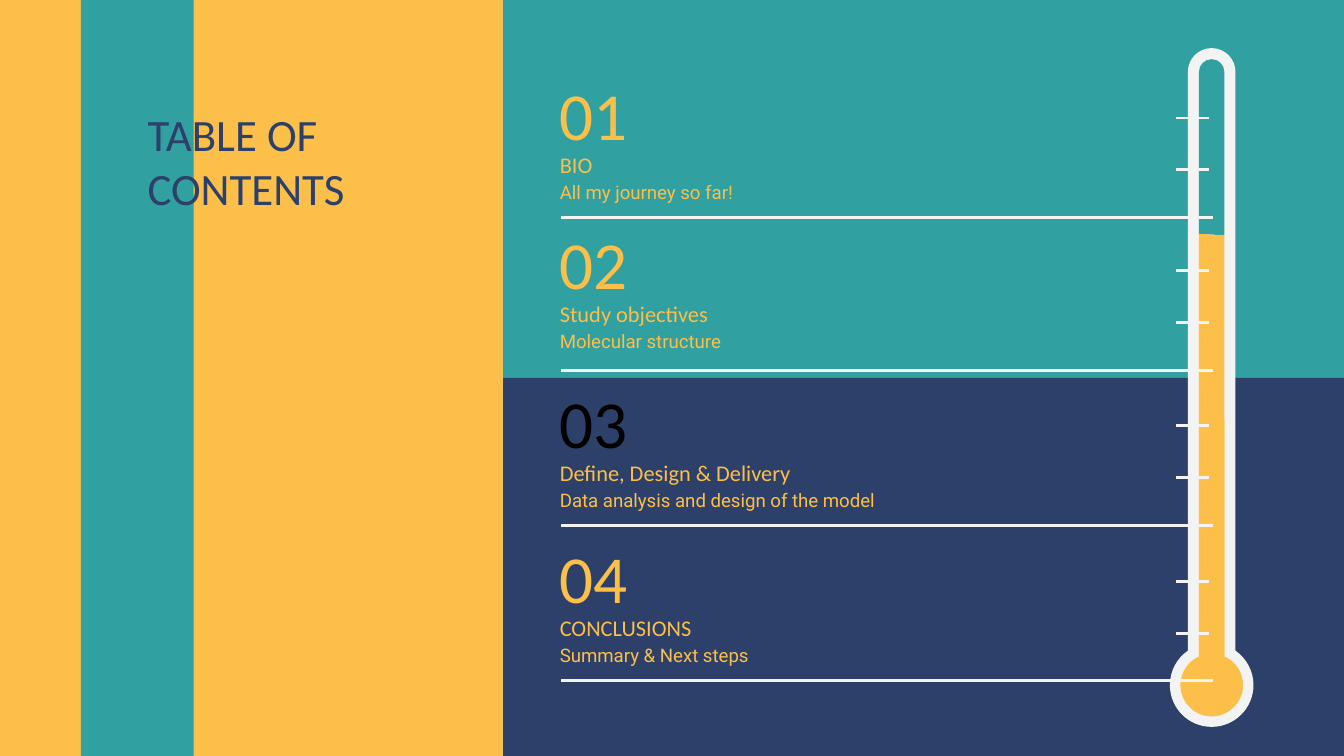
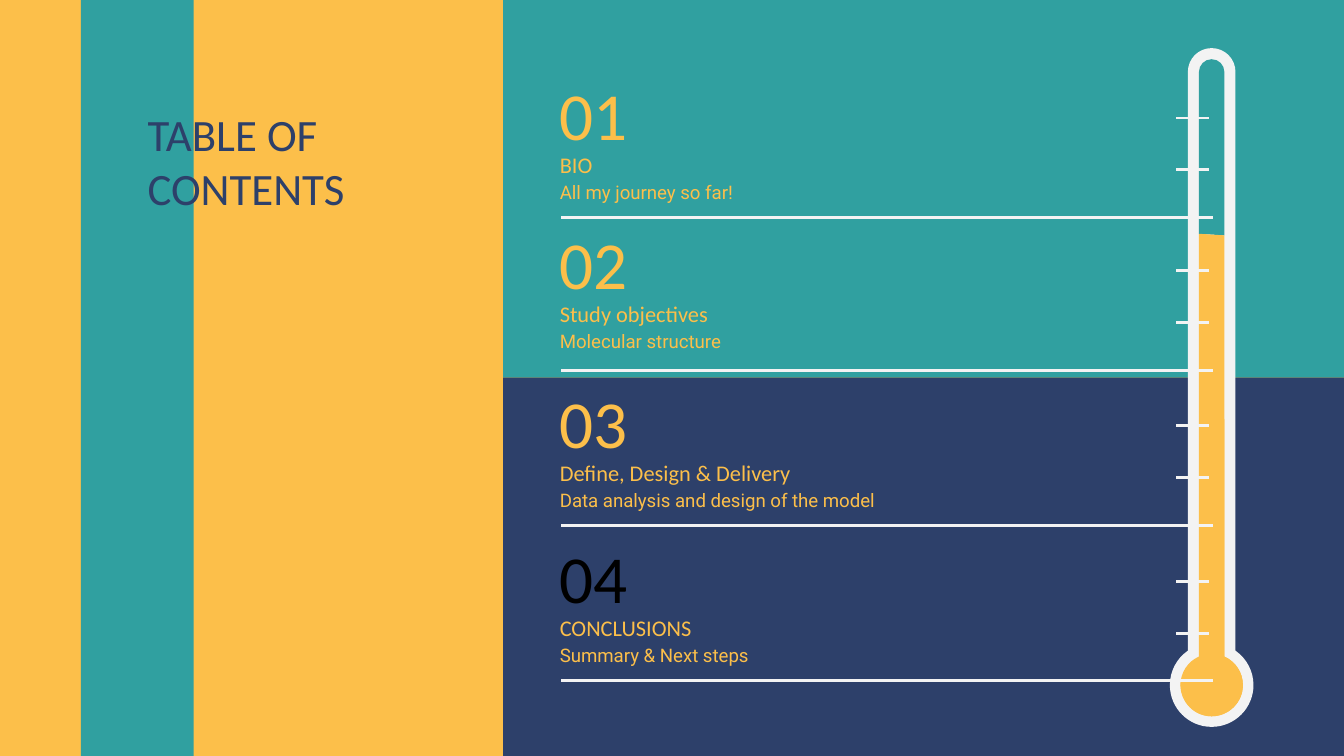
from dataclasses import dataclass
from itertools import pairwise
from math import acos, cos, degrees, radians, sin, tan

from lxml import etree
from pptx import Presentation
from pptx import util as u
from pptx.dml.color import RGBColor
from pptx.enum import shapes, text
from pptx.oxml import ns


@dataclass(frozen=True)
class Theme:
    amber: RGBColor = RGBColor.from_string("FCBF4A")
    teal: RGBColor = RGBColor.from_string("30A0A0")
    navy: RGBColor = RGBColor.from_string("2D406A")
    white: RGBColor = RGBColor.from_string("F3F3F3")
    black: RGBColor = RGBColor.from_string("000000")
    head: str = "Calibri"
    body: str = "Roboto"
    title: int = 24
    number: int = 36
    name: int = 12
    note: int = 10
    line: float = 1.5


@dataclass(frozen=True)
class Box:
    left: float
    top: float
    width: float
    height: float


@dataclass(frozen=True)
class Style:
    font: str
    size: int
    color: RGBColor
    anchor: text.MSO_ANCHOR


@dataclass(frozen=True)
class Band:
    box: Box
    color: RGBColor


@dataclass(frozen=True)
class Entry:
    name: str
    note: str
    top: float
    rule: float
    height: float


Point = tuple[float, float]
Steps = list[tuple[Point, ...]]

THEME = Theme()
WIDTH, HEIGHT = 25.4, 14.29
SPLIT, HALF = 9.51, 7.14
BANDS = (
    Band(Box(SPLIT, 0, WIDTH - SPLIT, HALF), THEME.teal),
    Band(Box(SPLIT, HALF, WIDTH - SPLIT, HEIGHT - HALF), THEME.navy),
    Band(Box(1.53, 0, 2.13, HEIGHT), THEME.teal),
)
ENTRIES = (
    Entry("BIO", "All my journey so far!", 1.34, 4.11, 0.81),
    Entry("Study objectives", "Molecular structure", 4.17, 7, 0.89),
    Entry("Define, Design & Delivery", "Data analysis and design of the model",
          7.17, 9.93, 0.89),
    Entry("CONCLUSIONS", "Summary & Next steps", 10.1, 12.87, 0.97),
)
ACTIVE = (3, 4)
LEFT = 10.33
AXIS, DOME, BULB = 22.9, 1.36, 12.95
OUTER, INNER = (0.45, 0.79), (0.24, 0.59)
LOW, HIGH = (AXIS + INNER[0], 4.45), (AXIS - INNER[0], 4.42)
SHEEN: Steps = [
    ((AXIS + INNER[0], 7.92),),
    ((22.96, 9.42), (22.99, 10.95), (22.76, 12.52)),
    ((22.71, 12.65), (22.58, 12.93), (22.4, 12.93)),
    ((22.38, 12.93), (22.35, 12.93), (22.31, 12.9)),
]


def place(shape, box: Box) -> None:
    shape.left, shape.top = u.Cm(box.left), u.Cm(box.top)
    shape.width, shape.height = u.Cm(box.width), u.Cm(box.height)


def write(shape, words: str, style: Style, box: Box) -> None:
    place(shape, box)
    frame = shape.text_frame
    frame.auto_size = text.MSO_AUTO_SIZE.NONE
    frame.word_wrap = True
    frame.vertical_anchor = style.anchor
    for side in ("left", "top", "right", "bottom"):
        setattr(frame, f"margin_{side}", u.Cm(0.25))
    frame.text = words
    para = frame.paragraphs[0]
    props = para._p.get_or_add_pPr()
    props.set("marL", "0")
    props.set("indent", "0")
    etree.SubElement(props, ns.qn("a:buNone"))
    para.alignment = text.PP_ALIGN.LEFT
    para.space_before = u.Pt(0)
    para.font.name = style.font
    para.font.size = u.Pt(style.size)
    para.font.bold = False
    para.font.color.rgb = style.color


def label(slide, words: str, style: Style, box: Box) -> None:
    write(slide.shapes.add_textbox(0, 0, 0, 0), words, style, box)


def paint(shape, color: RGBColor) -> None:
    shape.shadow.inherit = False
    shape.fill.solid()
    shape.fill.fore_color.rgb = color
    shape.line.fill.background()


def dress(layout, slide) -> None:
    layout.background.fill.solid()
    layout.background.fill.fore_color.rgb = THEME.amber
    for order, band in enumerate(BANDS):
        shape = slide.shapes.add_shape(shapes.MSO_SHAPE.RECTANGLE, 0, 0, 0, 0)
        place(shape, band.box)
        paint(shape, band.color)
        shape.element.nvSpPr.cNvPr.set("id", str(20 + order))
        layout.shapes.element.insert(2 + order, shape.element)


def arc(y: float, radius: float, *stops: float) -> Steps:
    steps: Steps = []
    for start, end in pairwise(map(radians, stops)):
        pull = 4 / 3 * tan((end - start) / 4)
        steps.append(tuple(
            (AXIS + radius * (cos(t) - k * sin(t)), y + radius * (sin(t) + k * cos(t)))
            for t, k in ((start, pull), (end, -pull), (end, 0))))
    return steps


def dome(half: float) -> Steps:
    return [((AXIS - half, DOME),)] + arc(DOME, half, 180, 270, 360)


def bulb(half: float, radius: float) -> Steps:
    neck = degrees(acos(half / radius))
    fall = BULB - radius * sin(radians(neck))
    return [((AXIS + half, fall),)] + arc(BULB, radius, -neck, 0, 90, 180, 180 + neck)


def trace(group, steps: Steps, color: RGBColor) -> None:
    first, *rest = [(u.Cm(x), u.Cm(y)) for x, y in (step[-1] for step in steps)]
    pen = group.shapes.build_freeform(*first)
    pen.add_line_segments(rest, close=True)
    shape = pen.convert_to_shape()
    paint(shape, color)
    lines = list(shape.element.iter(ns.qn("a:lnTo")))
    for line, step in zip(lines, steps[1:]):
        if len(step) == 3:
            curve = etree.Element(ns.qn("a:cubicBezTo"))
            for x, y in step:
                etree.SubElement(curve, ns.qn("a:pt"), x=str(u.Cm(x) - shape.left),
                                 y=str(u.Cm(y) - shape.top))
            line.getparent().replace(line, curve)


def rule(group, start: float, end: float, y: float) -> None:
    line = group.shapes.add_connector(
        shapes.MSO_CONNECTOR.STRAIGHT, u.Cm(start), u.Cm(y), u.Cm(end), u.Cm(y))
    line.line.color.rgb = THEME.white
    line.line.width = u.Pt(THEME.line)
    etree.SubElement(line.element.spPr, ns.qn("a:effectLst"))


def gauge(slide) -> None:
    group = slide.shapes.add_group_shape()
    half, radius = INNER
    neck = degrees(acos(half / radius))
    dip: Point = (AXIS, 4.45)
    trace(group, dome(OUTER[0]) + bulb(*OUTER), THEME.white)
    trace(group, dome(half) + [(LOW,), (dip, dip, HIGH)], THEME.teal)
    trace(group, [(HIGH,), (dip, dip, LOW)] + bulb(*INNER), THEME.amber)
    trace(group, SHEEN + arc(BULB, radius, 180, 90, 0, -neck), THEME.amber)
    for entry in ENTRIES:
        rule(group, 10.61, 22.93, entry.rule)
    for rise in (0.9, 1.88):
        for entry in ENTRIES:
            rule(group, 22.23, 22.84, entry.rule - rise)


def agenda(slide, active: int) -> None:
    anchor = text.MSO_ANCHOR
    title = Style(THEME.head, THEME.title, THEME.navy, anchor.BOTTOM)
    name = Style(THEME.head, THEME.name, THEME.amber, anchor.BOTTOM)
    note = Style(THEME.body, THEME.note, THEME.amber, anchor.TOP)
    write(slide.shapes.title, "TABLE OF CONTENTS", title, Box(2.54, 2.95, 6.45, 1.35))
    gauge(slide)
    for order, entry in enumerate(ENTRIES, 1):
        color = THEME.black if order == active else THEME.amber
        number = Style(THEME.head, THEME.number, color, anchor.MIDDLE)
        label(slide, f"{order:02}", number, Box(LEFT, entry.top, 8.36, 1.6))
        label(slide, entry.name, name,
              Box(LEFT, entry.top + 2.27 - entry.height, 10.72, entry.height))
        write(slide.placeholders[order], entry.note, note,
              Box(LEFT, entry.top + 1.82, 9.07, 0.81))


def main() -> None:
    deck = Presentation()
    deck.slide_width, deck.slide_height = u.Cm(WIDTH), u.Cm(HEIGHT)
    layout = deck.slide_layouts.get_by_name("Comparison")
    slides = [deck.slides.add_slide(layout) for _ in ACTIVE]
    dress(layout, slides[0])
    for slide, active in zip(slides, ACTIVE):
        agenda(slide, active)
    deck.save("out.pptx")


if __name__ == "__main__":
    main()
